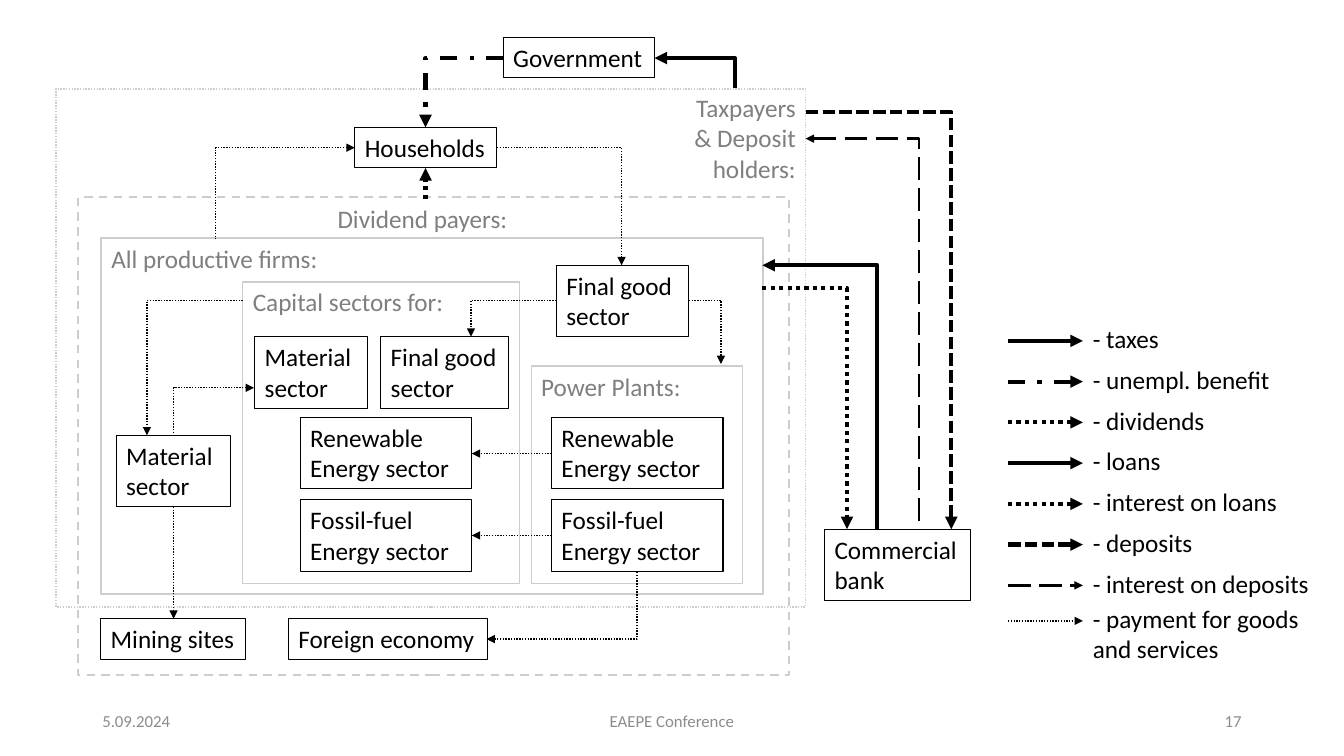
import lxml.etree
import pptx
import pptx.dml.color
import pptx.enum.dml
import pptx.enum.shapes
import pptx.enum.text
import pptx.oxml.ns
import pptx.util

RGB = pptx.dml.color.RGBColor
BLACK = RGB(0, 0, 0)
LABEL = RGB(0x7F, 0x7F, 0x7F)
FOOT = RGB(0x8C, 0x8C, 0x8C)
FRAME = RGB(0xCD, 0xCD, 0xCD)
FONT = "Calibri"
DASH = pptx.enum.dml.MSO_LINE
ALIGN = pptx.enum.text.PP_ALIGN
MIDDLE = pptx.enum.text.MSO_ANCHOR.MIDDLE
RECT = pptx.enum.shapes.MSO_SHAPE.RECTANGLE
LINK = pptx.enum.shapes.MSO_CONNECTOR
Pt = pptx.util.Pt
ROW, TALL = 29, 51  # heights of one and two lines of text

# Flow styles: width, dash
FLOWS = {
    "taxes": (3, None),
    "benefit": (3, DASH.DASH_DOT),
    "dividends": (3, DASH.ROUND_DOT),
    "loans": (3, None),
    "loan interest": (3, DASH.ROUND_DOT),
    "deposits": (3, DASH.SQUARE_DOT),
    "deposit interest": (2, DASH.LONG_DASH),
    "payment": (1, DASH.ROUND_DOT),
}
LEGEND = [
    ("taxes", "- taxes"),
    ("benefit", "- unempl. benefit"),
    ("dividends", "- dividends"),
    ("loans", "- loans"),
    ("loan interest", "- interest on loans"),
    ("deposits", "- deposits"),
    ("deposit interest", "- interest on deposits"),
    ("payment", "- payment for goods and services"),
]
# Frames: left, top, width, height, line width, dash
FRAMES = [
    (40, 63.5, 535.5, 370, 1, DASH.ROUND_DOT),
    (72, 170, 473, 254, 1.5, None),
    (379.5, 261.5, 151, 155.5, 1, None),
    (173, 201.5, 198, 215.5, 1, None),
    (56, 141, 507.5, 341.5, 1.5, DASH.DASH),
]
# Frame labels: text, left, top, width, height, alignment
LABELS = [
    ("Capital sectors for:", 173.5, 201, 152, ROW, ALIGN.LEFT),
    ("Power Plants:", 379.5, 262, 122.5, ROW, ALIGN.LEFT),
    ("All productive firms:", 72.5, 170.5, 163, ROW, ALIGN.LEFT),
    ("Dividend payers:", 234, 142, 140.5, ROW, ALIGN.LEFT),
    ("Taxpayers & Deposit holders:", 474, 62.5, 101.5, 73, ALIGN.RIGHT),
]
# Actors: text, left, top, width, height
ACTORS = [
    ("Government", 359.5, 26.5, 108, ROW),
    ("Households", 253.5, 91, 101.5, ROW),
    ("Mining sites", 72, 442, 103.5, ROW),
    ("Foreign economy", 206, 442, 142, ROW),
    ("Commercial bank", 589, 378, 104.5, TALL),
    ("Final good sector", 397.5, 189.5, 94.5, TALL),
    ("Material sector", 83, 311, 81.5, TALL),
    ("Material sector", 182, 240.5, 80.5, TALL),
    ("Final good sector", 272, 240.5, 91, TALL),
]
ENERGY = [("Renewable Energy sector", 298), ("Fossil-fuel Energy sector", 357)]
ACTORS += [(text, left, top, 122.5, TALL)
           for text, top in ENERGY for left in (214.5, 394)]

# Bent arrows leave the first point sideways and meet the second upright;
# the last entry is the end that carries the arrowhead
BENT = [
    ("payment", 173.5, 214.5, 105, 311, "tail"),
    ("payment", 181.5, 277, 124, 311, "head"),
    ("payment", 492, 214.5, 515, 260, "tail"),
    ("payment", 397.5, 214.5, 336.5, 240.5, "tail"),
    ("payment", 355, 105.5, 444, 189.5, "tail"),
    ("payment", 253.5, 105.5, 154, 170.5, "head"),
    ("payment", 347.5, 456.5, 455, 408, "head"),
    ("taxes", 467.5, 41.5, 525, 63, "head"),
    ("benefit", 359.5, 41.5, 304, 91, "tail"),
    ("deposit interest", 575.5, 99, 656.5, 378, "head"),
    ("deposits", 575.5, 80, 679.5, 378, "tail"),
    ("loan interest", 544.5, 206, 605, 378, "tail"),
    ("loans", 544.5, 189.5, 626.5, 378, "head"),
]
STRAIGHT = [
    ("payment", 394, 324, 337, 324),
    ("payment", 394, 382.5, 337, 382.5),
    ("payment", 124, 362, 124, 442),
    ("dividends", 304, 142, 304, 120),
]
FOOTER = [
    ("5.09.2024", 66, 216, ALIGN.LEFT),
    ("EAEPE Conference", 318, 324, ALIGN.CENTER),
    ("17", 678, 216, ALIGN.RIGHT),
]

deck = pptx.Presentation()
deck.slide_width, deck.slide_height = Pt(960), Pt(540)
slide = deck.slides.add_slide(deck.slide_layouts[6])
shapes = slide.shapes


def write(shape, text, color, size=18, align=ALIGN.LEFT, wrap=True):
    frame = shape.text_frame
    frame.text = text
    frame.word_wrap = wrap
    para = frame.paragraphs[0]
    para.alignment = align
    font = para.runs[0].font
    font.name, font.size, font.color.rgb = FONT, Pt(size), color


def label(text, left, top, wide, high, color, **style):
    box = shapes.add_textbox(Pt(left), Pt(top), Pt(wide), Pt(high))
    write(box, text, color, **style)
    return box


def stroke(line, color, width, dash):
    line.color.rgb, line.width = color, Pt(width)
    if dash:
        line.dash_style = dash


def outline(left, top, wide, high, color, width, dash=None):
    box = shapes.add_shape(RECT, Pt(left), Pt(top), Pt(wide), Pt(high))
    box.shadow.inherit = False
    box.fill.background()
    stroke(box.line, color, width, dash)
    return box


def arrow(flow, x1, y1, x2, y2, end="tail", bent=False):
    kind = LINK.ELBOW if bent else LINK.STRAIGHT
    link = shapes.add_connector(kind, Pt(x1), Pt(y1), Pt(x2), Pt(y2))
    stroke(link.line, BLACK, *FLOWS[flow])
    props = link._element.spPr
    qn = pptx.oxml.ns.qn
    if bent:
        props.find(qn("a:prstGeom")).set("prst", "bentConnector2")
    tip = lxml.etree.SubElement(props.find(qn("a:ln")), qn(f"a:{end}End"))
    tip.set("type", "triangle")
    lxml.etree.SubElement(props, qn("a:effectLst"))


# Frames and their labels
for left, top, wide, high, width, dash in FRAMES:
    outline(left, top, wide, high, FRAME, width, dash)
for text, left, top, wide, high, align in LABELS:
    label(text, left, top, wide, high, LABEL, align=align)

# Actors
for text, left, top, wide, high in ACTORS:
    box = outline(left, top, wide, high, BLACK, 0.75)
    box.text_frame.vertical_anchor = pptx.enum.text.MSO_ANCHOR.TOP
    write(box, text, BLACK, wrap=high > ROW)

# Flows
for item in BENT:
    arrow(*item, bent=True)
for item in STRAIGHT:
    arrow(*item)

# Legend: even rows, the last one set closer
for row, (flow, text) in enumerate(LEGEND):
    last = row == len(LEGEND) - 1
    y = 443.5 if last else 243.5 + 29.1 * row
    arrow(flow, 720, y, 773.5, y)
    label(text, 773.5, y - 16, 170.5, TALL if last else ROW, BLACK, wrap=last)

# Footer
for text, left, wide, align in FOOTER:
    box = label(text, left, 500.5, wide, 28.5, FOOT, size=12, align=align)
    box.text_frame.vertical_anchor = MIDDLE

deck.save("out.pptx")
